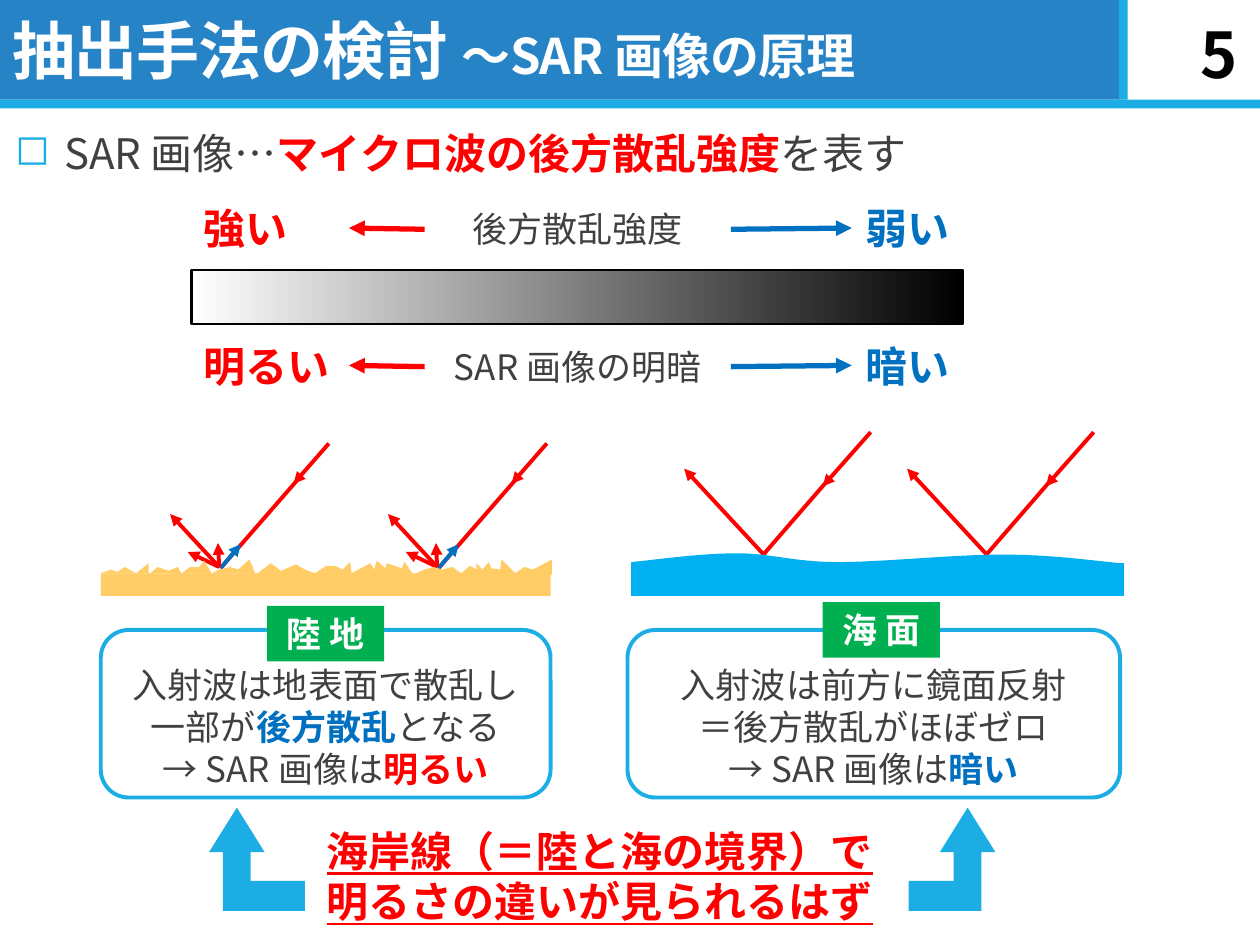
"""Build the slide on the principle of SAR images."""
from lxml import etree
from pptx import Presentation
from pptx.dml.color import RGBColor
from pptx.enum import shapes, text
from pptx.oxml import ns
from pptx.util import Inches, Pt

FONT = "Noto Sans CJK JP"
NAVY = RGBColor(0x26, 0x83, 0xC6)
CYAN = RGBColor(0x1C, 0xAD, 0xE4)
WHITE = RGBColor(0xFF, 0xFF, 0xFF)
BLACK = RGBColor(0, 0, 0)
GRAY = RGBColor(0x40, 0x40, 0x40)
RED = RGBColor(0xFF, 0, 0)
BLUE = RGBColor(0, 0x70, 0xC0)
GREEN = RGBColor(0, 0xB0, 0x50)
SEA = RGBColor(0, 0xB0, 0xF0)
SAND = RGBColor(0xFF, 0xCC, 0x66)
SHAPE = shapes.MSO_SHAPE
LEFT, CENTER, RIGHT = text.PP_ALIGN.LEFT, text.PP_ALIGN.CENTER, text.PP_ALIGN.RIGHT

deck = Presentation()
deck.slide_width, deck.slide_height = Inches(10), Inches(7.5)
page = deck.slides.add_slide(deck.slide_layouts[6])


def add_block(place, fill=None, line=None, width=1.25, kind=SHAPE.RECTANGLE, turn=0):
    block = page.shapes.add_shape(kind, *map(Inches, place))
    block.shadow.inherit = False
    block.rotation = turn
    for paint, color in ((block.fill, fill), (block.line.fill, line)):
        if color is None:
            paint.background()
        else:
            paint.solid()
            paint.fore_color.rgb = color
    if line is not None:
        block.line.width = Pt(width)
    return block


def write(box, size, lines, align=CENTER, anchor=text.MSO_ANCHOR.TOP):
    frame = box.text_frame
    frame.word_wrap = True
    frame.vertical_anchor = anchor
    for index, spans in enumerate(lines):
        para = frame.add_paragraph() if index else frame.paragraphs[0]
        para.alignment = align
        para.line_spacing = Pt(size * 1.2)
        for words, color, bold in spans:
            if words == "\n":
                para.add_line_break()
                continue
            span = para.add_run()
            span.text = words
            font = span.font
            font.name, font.size, font.bold = FONT, Pt(size), bold
            font.color.rgb = color
            east = etree.SubElement(span._r.get_or_add_rPr(), ns.qn("a:ea"))
            east.set("typeface", FONT)
    return box


add_block((0, 0, 8.89, 0.79), NAVY)
add_block((0, 0.79, 10, 0.07), CYAN)
add_block((8.52, 0.36, 0.79, 0.07), CYAN, turn=90)

title = page.shapes.add_textbox(Inches(0), Inches(0.05), Inches(8.89), Inches(0.69))
write(title, 36, [[("抽出手法の検討 ", WHITE, True), ("～SAR 画像の原理", WHITE, True)]],
      LEFT, text.MSO_ANCHOR.BOTTOM)
title.text_frame.paragraphs[0].runs[1].font.size = Pt(28)
for span in title.text_frame.paragraphs[0].runs:
    span._r.get_or_add_rPr().set("spc", "-50")

body = page.shapes.add_textbox(Inches(0.12), Inches(0.92), Inches(9.71), Inches(6.54))
body.text_frame.margin_left = body.text_frame.margin_right = 0
write(body, 24, [[("SAR 画像…", GRAY, False), ("マイクロ波の後方散乱強度", RED, True),
                  ("を表す", GRAY, False)]], LEFT)
para = body.text_frame.paragraphs[0]
para.line_spacing = Pt(32)
para.space_after = Pt(2)
settings = para._p.get_or_add_pPr()
settings.set("marL", str(Inches(0.39)))
settings.set("indent", str(-Inches(0.39)))
bullet_color = etree.SubElement(settings, ns.qn("a:buClr"))
etree.SubElement(bullet_color, ns.qn("a:srgbClr")).set("val", str(CYAN))
etree.SubElement(settings, ns.qn("a:buChar")).set("char", "◻")

number = page.shapes.add_textbox(Inches(8.89), Inches(0.22), Inches(1.03), Inches(0.4))
write(number, 36, [[("5", BLACK, True)]], RIGHT, text.MSO_ANCHOR.MIDDLE)

panels = [
    (0.8, 3.57, [[("入射波は地表面で散乱し", GRAY, False)],
                 [("一部が", GRAY, False), ("後方散乱", BLUE, True), ("となる", GRAY, False),
                  ("\n", GRAY, False), ("→ SAR 画像は", GRAY, False), ("明るい", RED, True)]]),
    (4.98, 3.91, [[("入射波は前方に鏡面反射", GRAY, False), ("\n", GRAY, False),
                   ("＝後方散乱がほぼゼロ", GRAY, False)],
                  [("→ SAR 画像は", GRAY, False), ("暗い", BLUE, True)]]),
]
for left, width, lines in panels:
    box = page.shapes.add_textbox(Inches(left), Inches(5.22), Inches(width), Inches(1.11))
    write(box, 20, lines)
    add_block((left, 5, width, 1.33), line=CYAN, width=2.25, kind=SHAPE.ROUNDED_RECTANGLE)

scale = add_block((1.52, 2.14, 6.12, 0.43), WHITE, BLACK)
scale.fill.gradient()
scale.fill.gradient_angle = 0
for stop, color, position in zip(scale.fill.gradient_stops, (WHITE, BLACK), (0, 1)):
    stop.color.rgb = color
    stop.position = position

arrows = []
for top, bright, middle, dark in ((1.56, "強い", "後方散乱強度", "弱い"),
                                  (2.65, "明るい", "SAR 画像の明暗", "暗い")):
    labels = []
    for left, width, drop, height, size, align, words, color, bold in (
            (1.52, 1.25, 0, 0.5, 24, LEFT, bright, RED, True),
            (3.37, 2.43, 0.04, 0.44, 20, CENTER, middle, GRAY, False),
            (6.76, 0.89, 0, 0.5, 24, CENTER, dark, BLUE, True)):
        box = page.shapes.add_textbox(Inches(left), Inches(top + drop),
                                      Inches(width), Inches(height))
        labels.append(write(box, size, [[(words, color, bold)]], align))
    low = top + 0.25
    arrows.append(((3.37, low), (2.77, low), RED, 3, True, (labels[1], 1, labels[0], 3)))
    arrows.append(((5.8, low), (6.76, low), BLUE, 3, True, (labels[1], 3, labels[2], 1)))

sea_rays = [((6.06, 4.4), (5.43, 3.72), RED, True), ((6.58, 3.8), (6.06, 4.4), RED, False),
            ((6.91, 3.43), (6.53, 3.86), RED, True)]
land_rays = [((2.36, 3.81), (1.75, 4.51), RED, False), ((2.61, 3.52), (2.33, 3.84), RED, True),
             ((1.75, 4.51), (1.91, 4.32), BLUE, True), ((1.74, 4.5), (1.73, 4.31), RED, True),
             ((1.74, 4.5), (1.35, 4.08), RED, True), ((1.74, 4.5), (1.49, 4.38), RED, True)]
for rays, step in ((sea_rays, 1.77), (land_rays, 1.73)):
    for shift in (0, step):
        for (x1, y1), (x2, y2), color, pointed in rays:
            arrows.append(((x1 + shift, y1), (x2 + shift, y2), color, 2.25, pointed, None))

add_block((5.01, 4.47, 3.91, 0.26), SEA)
wave = [(5.01, 4.47)]
for curve in (((5.29, 4.44), (5.58, 4.4), (5.85, 4.4)), ((6.12, 4.4), (6.3, 4.47), (6.65, 4.47)),
              ((7, 4.47), (7.57, 4.41), (7.95, 4.41)), ((8.32, 4.41), (8.61, 4.45), (8.9, 4.48))):
    knots = (wave[-1],) + curve
    for t in (step / 12 for step in range(1, 13)):
        weights = ((1 - t) ** 3, 3 * t * (1 - t) ** 2, 3 * t * t * (1 - t), t ** 3)
        wave.append(tuple(sum(w * knot[axis] for w, knot in zip(weights, knots))
                          for axis in (0, 1)))

for start, end, color, width, pointed, joints in arrows:
    arrow = page.shapes.add_connector(shapes.MSO_CONNECTOR.STRAIGHT, *map(Inches, start + end))
    if joints:
        arrow.begin_connect(*joints[:2])
        arrow.end_connect(*joints[2:])
    arrow.line.color.rgb = color
    arrow.line.width = Pt(width)
    if pointed:
        etree.SubElement(arrow.line._get_or_add_ln(), ns.qn("a:tailEnd")).set("type", "triangle")
    etree.SubElement(arrow._element.spPr, ns.qn("a:effectLst"))

add_block((0.8, 4.55, 3.57, 0.18), SAND)
ridge = [
    (0.8, 4.55), (0.88, 4.52), (0.93, 4.54), (0.99, 4.5), (1.08, 4.55), (1.18, 4.47), (1.18, 4.56),
    (1.25, 4.5), (1.34, 4.53), (1.41, 4.5), (1.44, 4.55), (1.51, 4.5), (1.58, 4.5), (1.62, 4.45),
    (1.68, 4.55), (1.74, 4.52), (1.83, 4.5), (1.89, 4.52), (1.98, 4.44), (2.03, 4.56), (2.15, 4.47),
    (2.23, 4.53), (2.35, 4.48), (2.42, 4.52), (2.5, 4.55), (2.59, 4.49), (2.66, 4.49), (2.72, 4.52),
    (2.78, 4.46), (2.79, 4.55), (2.94, 4.47), (2.97, 4.52), (2.99, 4.45), (3.06, 4.51), (3.07, 4.47),
    (3.19, 4.51), (3.21, 4.46), (3.28, 4.56), (3.37, 4.52), (3.44, 4.5), (3.51, 4.52), (3.59, 4.5),
    (3.66, 4.55), (3.73, 4.49), (3.78, 4.52), (3.78, 4.47), (3.83, 4.52), (3.88, 4.46), (3.9, 4.51),
    (3.97, 4.52), (3.98, 4.44), (4.09, 4.55), (4.16, 4.5), (4.23, 4.52), (4.38, 4.44), (4.38, 4.56)]
for points, color, outlined in ((wave, SEA, True), (ridge, SAND, False)):
    corners = [(Inches(x), Inches(y)) for x, y in points]
    builder = page.shapes.build_freeform(*corners[0])
    builder.add_line_segments(corners[1:], close=not outlined)
    surface = builder.convert_to_shape()
    surface.shadow.inherit = False
    surface.fill.solid()
    surface.fill.fore_color.rgb = color
    if outlined:
        surface.line.color.rgb = color
        surface.line.width = Pt(1.25)
    else:
        surface.line.fill.background()

for left, top, words in ((2.12, 4.81, "陸 地"), (6.53, 4.78, "海 面")):
    write(add_block((left, top, 0.93, 0.44), GREEN), 20, [[(words, WHITE, True)]])

for foot, stem in ((1.94, 1.47), (7.21, 7.27)):
    add_block((foot, 6.99, 0.48, 0.24), CYAN, turn=180)
    pointer = add_block((stem, 6.6, 0.82, 0.44), CYAN, kind=SHAPE.RIGHT_ARROW, turn=270)
    pointer.adjustments[0], pointer.adjustments[1] = 0.5, 0.8

closing = page.shapes.add_textbox(Inches(2.38), Inches(6.5), Inches(4.76), Inches(0.91))
write(closing, 24, [[("海岸線（＝陸と海の境界）で", RED, True)], [("明るさの違いが見られるはず", RED, True)]])
for para in closing.text_frame.paragraphs:
    para.runs[0].font.underline = True

deck.save("out.pptx")
